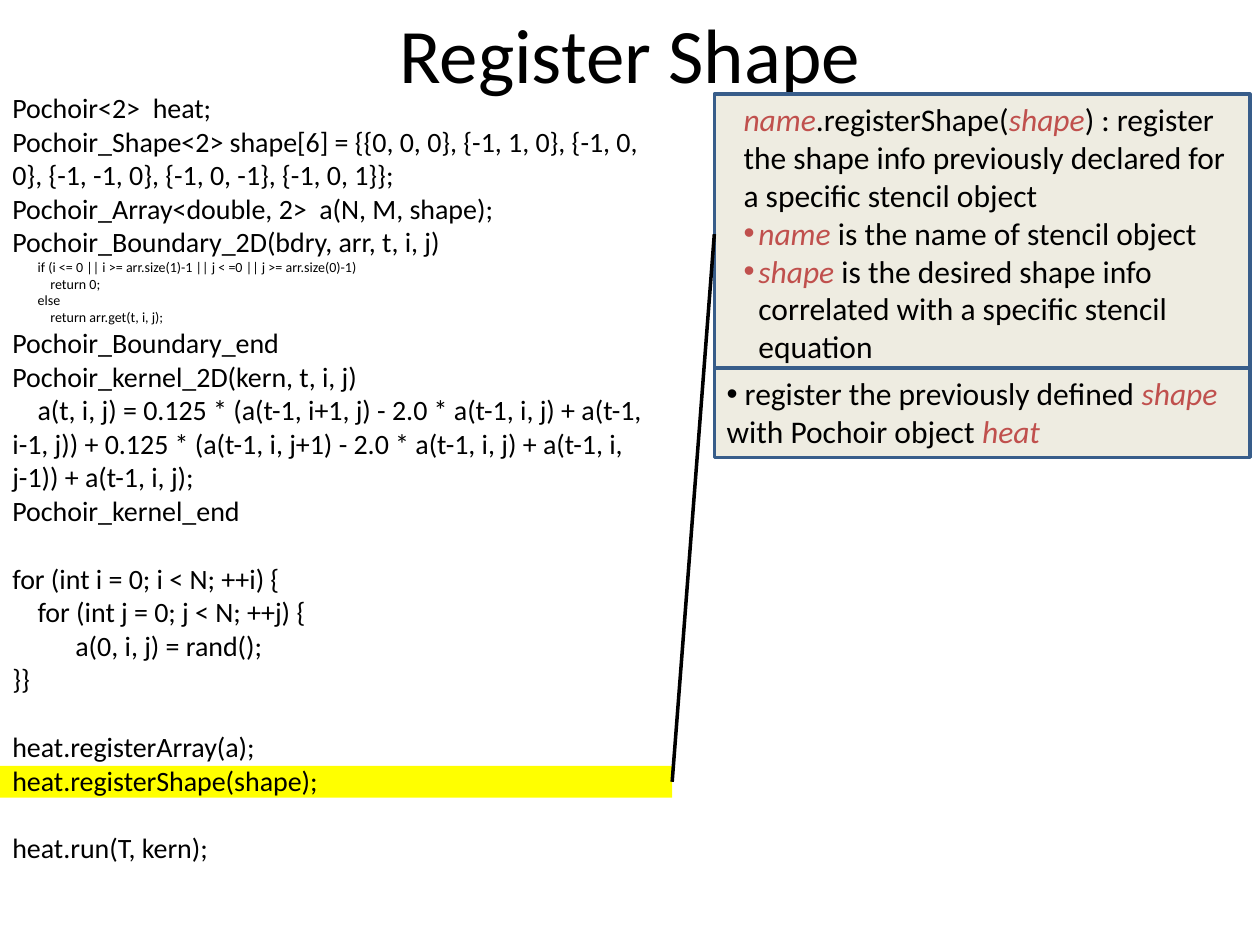
from lxml import etree
from pptx import Presentation
from pptx.dml.color import RGBColor
from pptx.enum.shapes import MSO_CONNECTOR, MSO_SHAPE
from pptx.enum.text import MSO_ANCHOR, PP_ALIGN
from pptx.oxml.ns import qn
from pptx.util import Cm, Pt

BLACK = RGBColor(0x00, 0x00, 0x00)
RED = RGBColor(0xC0, 0x50, 0x4D)
CREAM = RGBColor(0xEE, 0xEC, 0xE1)
NAVY = RGBColor(0x38, 0x5D, 0x8A)
YELLOW = RGBColor(0xFF, 0xFF, 0x00)

RECT = MSO_SHAPE.RECTANGLE
LINE = MSO_CONNECTOR.STRAIGHT
LEFT, CENTER = PP_ALIGN.LEFT, PP_ALIGN.CENTER
TOP, MIDDLE = MSO_ANCHOR.TOP, MSO_ANCHOR.MIDDLE
LEFT_SIDE, RIGHT_SIDE = 1, 3

FONT = "Calibri"
GAP = 19.5  # height of one skipped 16 pt code line

# Each block: size, space before, lines
CODE = [
    (16, 0, [
        "Pochoir<2>  heat;",
        "Pochoir_Shape<2> shape[6] = {{0, 0, 0}, {-1, 1, 0}, {-1, 0, 0}, "
        "{-1, -1, 0}, {-1, 0, -1}, {-1, 0, 1}};",
        "Pochoir_Array<double, 2>  a(N, M, shape);",
        "Pochoir_Boundary_2D(bdry, arr, t, i, j)",
    ]),
    (8, 0, [
        "        if (i <= 0 || i >= arr.size(1)-1 || j < =0 || j >= arr.size(0)-1)",
        "            return 0;",
        "        else",
        "            return arr.get(t, i, j);",
    ]),
    (16, 0, [
        "Pochoir_Boundary_end",
        "Pochoir_kernel_2D(kern, t, i, j)",
        "    a(t, i, j) = 0.125 * (a(t-1, i+1, j) - 2.0 * a(t-1, i, j) + "
        "a(t-1, i-1, j)) + 0.125 * (a(t-1, i, j+1) - 2.0 * a(t-1, i, j) + "
        "a(t-1, i, j-1)) + a(t-1, i, j);",
        "Pochoir_kernel_end",
    ]),
    (16, GAP, [
        "for (int i = 0; i < N; ++i) {",
        "    for (int j = 0; j < N; ++j) {",
        "          a(0, i, j) = rand();",
        "}}",
    ]),
    (16, GAP, ["heat.registerArray(a);", "heat.registerShape(shape);"]),
    (16, GAP, ["heat.run(T, kern);"]),
]

# Words between ~ marks are red italics
USAGE = [
    ("~name~.registerShape(~shape~) : register", False),
    ("the shape info previously declared for", False),
    ("a specific stencil object", False),
    ("~name~ is the name of stencil object", True),
    ("~shape~ is the desired shape info correlated with a specific stencil "
     "equation", True),
]
EFFECT = " register the previously defined ~shape~ with Pochoir object ~heat~"


def write(frame, text, size=18, align=LEFT, before=0, margin=0, indent=0,
          bullet=False):
    """Add one paragraph to the frame, using its empty first one if free."""
    para = frame.paragraphs[0]
    if para.runs:
        para = frame.add_paragraph()
    para.alignment = align
    if before:
        para.space_before = Pt(before)
    props = para._p.get_or_add_pPr()
    props.set("marL", str(Cm(margin)))
    props.set("indent", str(Cm(indent)))
    if bullet:
        etree.SubElement(props, qn("a:buFont")).set("typeface", "Arial")
        etree.SubElement(props, qn("a:buChar")).set("char", "•")
    else:
        etree.SubElement(props, qn("a:buNone"))
    for i, part in enumerate(text.split("~")):
        if part:
            run = para.add_run()
            run.text = part
            run.font.name = FONT
            run.font.size = Pt(size)
            run.font.italic = i % 2 == 1
            run.font.color.rgb = RED if i % 2 else BLACK


def text_box(slide, box, anchor=TOP):
    frame = slide.shapes.add_textbox(*map(Cm, box)).text_frame
    frame.word_wrap = True
    frame.vertical_anchor = anchor
    return frame


def panel(slide, box, fill, edge=None):
    shape = slide.shapes.add_shape(RECT, *map(Cm, box))
    shape.shadow.inherit = False
    shape.fill.solid()
    shape.fill.fore_color.rgb = fill
    if edge is None:
        shape.line.fill.background()
    else:
        shape.line.color.rgb = edge
        shape.line.width = Pt(2)
    shape.text_frame.word_wrap = True
    shape.text_frame.vertical_anchor = TOP
    return shape


def title(slide, box):
    write(text_box(slide, box, MIDDLE), "Register Shape", size=44, align=CENTER)


def code(slide, box):
    """Place the listing over its marked line; return the marker."""
    left, top, width, height = box
    mark = panel(slide, (left, top + 13.74, width - 0.21, 0.64), YELLOW)
    frame = text_box(slide, box)
    for size, gap, lines in CODE:
        for i, line in enumerate(lines):
            write(frame, line, size=size, before=0 if i else gap)
    return mark


def notes(slide, box, mark):
    """Place the usage and effect panels, and link usage to the marker."""
    left, top, width, height = box
    usage = panel(slide, (left, top, width, 5.64), CREAM, NAVY)
    for text, bullet in USAGE:
        write(usage.text_frame, text, margin=0.64, indent=-0.3, bullet=bullet)

    # Line from the marked code to its explanation
    link = slide.shapes.add_connector(LINE, 0, 0, 0, 0)
    link.begin_connect(mark, RIGHT_SIDE)
    link.end_connect(usage, LEFT_SIDE)
    link.line.color.rgb = BLACK
    link.line.width = Pt(2)
    etree.SubElement(link._element.spPr, qn("a:effectLst"))

    effect = panel(slide, (left, top + 5.52, width, height - 5.52), CREAM, NAVY)
    write(effect.text_frame, EFFECT, bullet=True)


def main():
    deck = Presentation()
    deck.slide_width, deck.slide_height = Cm(25.4), Cm(19.05)
    slide = deck.slides.add_slide(deck.slide_layouts[6])
    mark = code(slide, (0, 1.7, 13.76, 15.98))
    title(slide, (1.27, 0, 22.86, 2.12))
    notes(slide, (14.4, 1.9, 10.8, 7.32), mark)
    deck.save("out.pptx")


if __name__ == "__main__":
    main()
